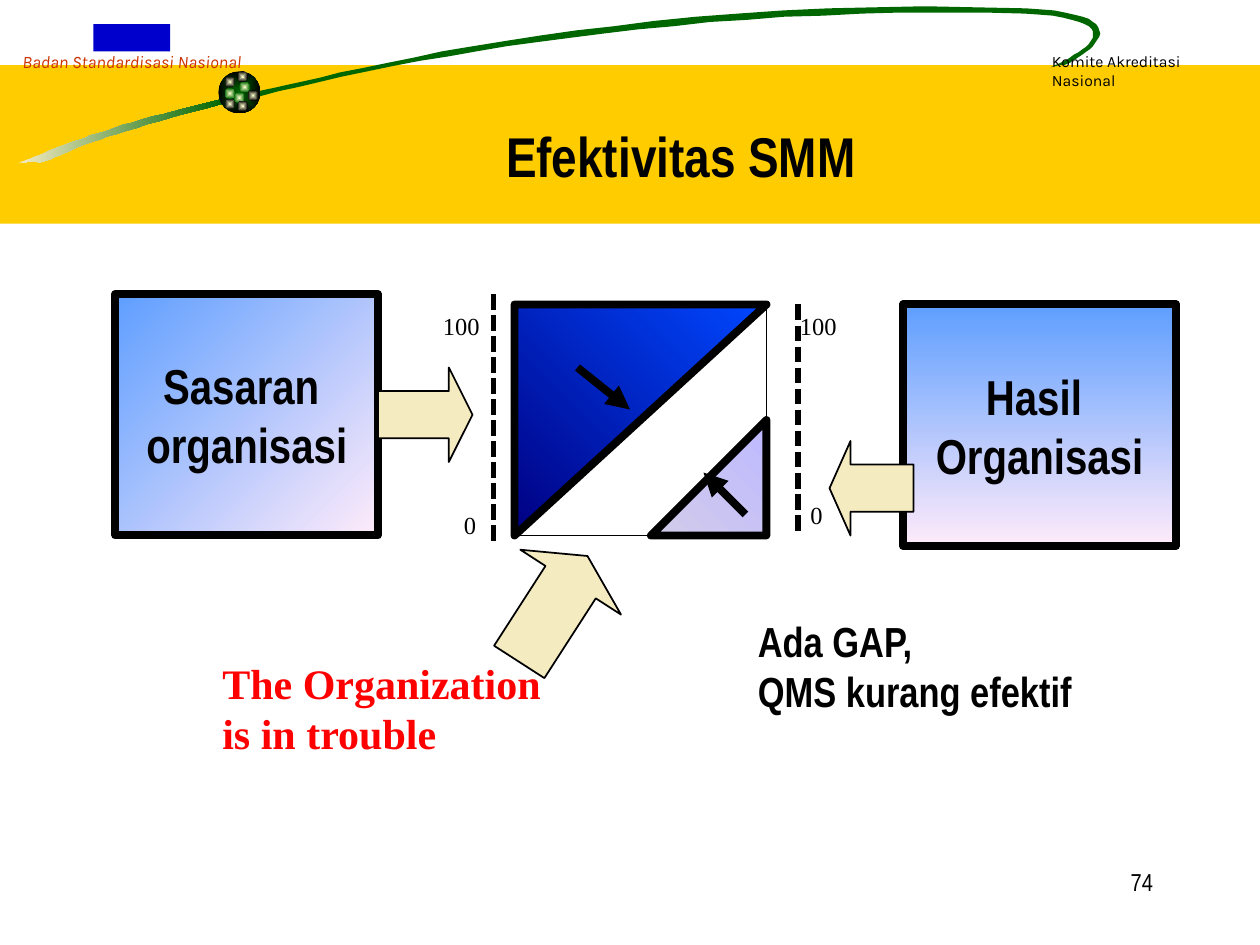
"""Build the quality-management effectiveness slide."""
from lxml.etree import SubElement
from pptx import Presentation
from pptx.dml.color import RGBColor
from pptx.enum.dml import MSO_LINE as Dash
from pptx.enum.shapes import MSO_CONNECTOR as Link, MSO_SHAPE as Kind
from pptx.enum.text import MSO_ANCHOR as Anchor, MSO_AUTO_SIZE as Fit, PP_ALIGN as Align
from pptx.oxml.ns import qn
from pptx.util import Emu, Pt

PX = 7620
NARROW, SERIF, KARLA = "Arial Narrow", "Times New Roman", "Karla"
COLORS = {
    "black": "000000", "gold": "FFCC00", "cream": "F5EBC1", "green": "006600",
    "glow": "FFFFCC", "navy": "0000CC", "rust": "CC3300", "red": "FF0000",
    "sky": "5E9EFF", "blush": "FFEBFA", "midnight": "000082", "cobalt": "0047FF",
    "lilac": "BEB9FF", "mist": "D2CCEA",
}

TAIL = [(214, 94), [(109, 118), (59, 139), (30, 151)], [(1, 161), (31, 151), (37, 155)],
        [(68, 146), (68, 136), (215, 98)]]
SWOOSH = [(242, 88), [(295, 78), (583, -6), (977, 8)], [(1100, 14), (1028, 56), (1014, 62)],
          [(1014, 62), (1006, 62), (1001, 64)], [(1013, 59), (1099, 19), (976, 13)],
          [(658, 4), (384, 56), (247, 92)]]
SPARKS = [(228, 78, "green"), (214, 73, "black"), (214, 84, "green"), (223, 88, "green"),
          (236, 86, "black"), (226, 96, "black"), (214, 94, "black"), (226, 68, "black")]

PANELS = [
    ((110, 280, 250, 230), ("sky", "blush", 45), ["Sasaran ", "organisasi"]),
    ((860, 290, 260, 230), ("sky", "blush", 90), ["Hasil ", "Organisasi"]),
]
TRIANGLES = [
    ((500, 280, 220, 240), 90, ("midnight", "cobalt", 315)),
    ((620, 400, 110, 110), 270, ("lilac", "mist", 135)),
]
BLOCK_ARROWS = [
    (Kind.RIGHT_ARROW, (360, 350, 90, 90), 0, 0.25),
    (Kind.LEFT_ARROW, (790, 420, 80, 90), 0, 0.25),
    (Kind.UP_ARROW, (470, 520, 114, 120), 32.8, 0.26),
]
LINES = [
    ((470, 280, 470, 520), 3, "dots"), ((760, 290, 760, 510), 3, "dots"),
    ((710, 490, 670, 450), 4.5, "arrow"), ((550, 350, 600, 390), 4.5, "arrow"),
    ((490, 510, 630, 510), 1, "plain"), ((730, 400, 730, 290), 1, "plain"),
]
SCALE_LABELS = [("100", 750, 290, 70), ("100", 410, 290, 60), ("0", 430, 480, 40), ("0", 760, 470, 40)]
TEXTS = [
    ((2, 43, 247, 32), ["Badan Standardisasi Nasional"],
     dict(font=KARLA, size=10, color="rust", italic=True, align=Align.CENTER, wrap=False)),
    ((990, 43, 202, 48), ["Komite Akreditasi Nasional"], dict(font=KARLA, size=9)),
    ((860, 820, 250, 60), ["74"], dict(size=14, align=Align.RIGHT)),
    ((200, 620, 360, 108), ["The Organization is in trouble"],
     dict(font=SERIF, size=24, color="red", bold=True)),
    ((710, 580, 370, 108), ["Ada GAP,", "QMS kurang efektif"], dict(size=24, bold=True)),
]


def px(*values):
    return [Emu(value * PX) for value in values]


def rgb(name):
    return RGBColor.from_string(COLORS[name])


def write(shape, lines, font=NARROW, size=14, color="black", bold=False, italic=False,
          align=Align.LEFT, anchor=Anchor.TOP, wrap=True):
    frame = shape.text_frame
    frame.word_wrap, frame.auto_size, frame.vertical_anchor = wrap, Fit.NONE, anchor
    frame.text = "\n".join(lines)
    for para in frame.paragraphs:
        para.alignment = align
        style = para.font
        style.name, style.size, style.bold, style.italic = font, Pt(size), bold, italic
        style.color.rgb = rgb(color)


def paint(shape, fill, outline=0):
    shape.shadow.inherit = False
    if isinstance(fill, str):
        shape.fill.solid()
        shape.fill.fore_color.rgb = rgb(fill)
    else:
        *names, angle = fill
        shape.fill.gradient()
        for stop, name in zip(shape.fill.gradient_stops, names):
            stop.color.rgb = rgb(name)
        gradient = shape.element.spPr.find(qn("a:gradFill"))
        gradient.set("rotWithShape", "0")
        if angle is None:
            gradient.remove(gradient.find(qn("a:lin")))
            center = SubElement(gradient, qn("a:path"), path="rect")
            SubElement(center, qn("a:fillToRect"), dict.fromkeys("ltrb", "50000"))
        else:
            shape.fill.gradient_angle = (360 - angle) % 360
    if outline:
        shape.line.color.rgb = rgb("black")
        shape.line.width = Pt(outline)
    else:
        shape.line.fill.background()


def draw(page, kind, area, fill, outline=0, turn=0):
    shape = page.shapes.add_shape(kind, *px(*area))
    shape.rotation = turn
    paint(shape, fill, outline)
    return shape


def ribbon(page, outline, fill, steps=24):
    points = [outline[0]]
    for curve in outline[1:]:
        corners = [points[-1], *curve]
        for step in range(1, steps + 1):
            t = step / steps
            weights = ((1 - t) ** 3, 3 * t * (1 - t) ** 2, 3 * t * t * (1 - t), t ** 3)
            points.append(tuple(sum(w * c[axis] for w, c in zip(weights, corners)) for axis in (0, 1)))
    builder = page.shapes.build_freeform(*points[0], scale=PX)
    builder.add_line_segments(points[1:], close=True)
    paint(builder.convert_to_shape(), fill)


def connect(page, ends, width, style):
    line = page.shapes.add_connector(Link.STRAIGHT, *px(*ends))
    line.line.color.rgb = rgb("black")
    line.line.width = Pt(width)
    if style == "dots":
        line.line.dash_style = Dash.ROUND_DOT
        line.line.dash_style = Dash.SQUARE_DOT
    properties = line.element.spPr
    if style == "arrow":
        SubElement(properties.find(qn("a:ln")), qn("a:tailEnd"), type="triangle")
    SubElement(properties, qn("a:effectLst"))


def add_text(page, area, lines, style):
    write(page.shapes.add_textbox(*px(*area)), lines, **style)


def draw_header(page):
    draw(page, Kind.RECTANGLE, (0, 62, 1200, 151), "gold")
    ribbon(page, TAIL, ("cream", "green", 0))
    ribbon(page, SWOOSH, "green")
    draw(page, Kind.OVAL, (208, 68, 40, 40), ("green", "black", None))
    for left, top, edge in SPARKS:
        draw(page, Kind.OVAL, (left, top, 10, 10), ("glow", edge, None))
    draw(page, Kind.RECTANGLE, (89, 23, 73, 26), "navy")
    title = page.shapes.title
    title.left, title.top, title.width, title.height = px(470, 110, 390, 77)
    write(title, ["Efektivitas SMM"], size=32, bold=True)
    title.element.getparent().append(title.element)


def draw_diagram(page):
    for area, fill, lines in PANELS:
        panel = draw(page, Kind.RECTANGLE, area, fill, 4.5)
        write(panel, lines, size=28, bold=True, align=Align.CENTER, anchor=Anchor.MIDDLE, wrap=False)
    for area, turn, fill in TRIANGLES:
        draw(page, Kind.RIGHT_TRIANGLE, area, fill, 4.5, turn)
    for kind, area, turn, head in BLOCK_ARROWS:
        arrow = draw(page, kind, area, "cream", 1, turn)
        arrow.adjustments[0], arrow.adjustments[1] = 0.5, head
    for line in LINES:
        connect(page, *line)
    for label, left, top, width in SCALE_LABELS:
        add_text(page, (left, top, width, 41), [label], dict(font=SERIF))


def main():
    deck = Presentation()
    deck.slide_width, deck.slide_height = px(1200, 900)
    page = deck.slides.add_slide(deck.slide_layouts[5])
    draw_header(page)
    draw_diagram(page)
    for text in TEXTS:
        add_text(page, *text)
    deck.save("out.pptx")


if __name__ == "__main__":
    main()
